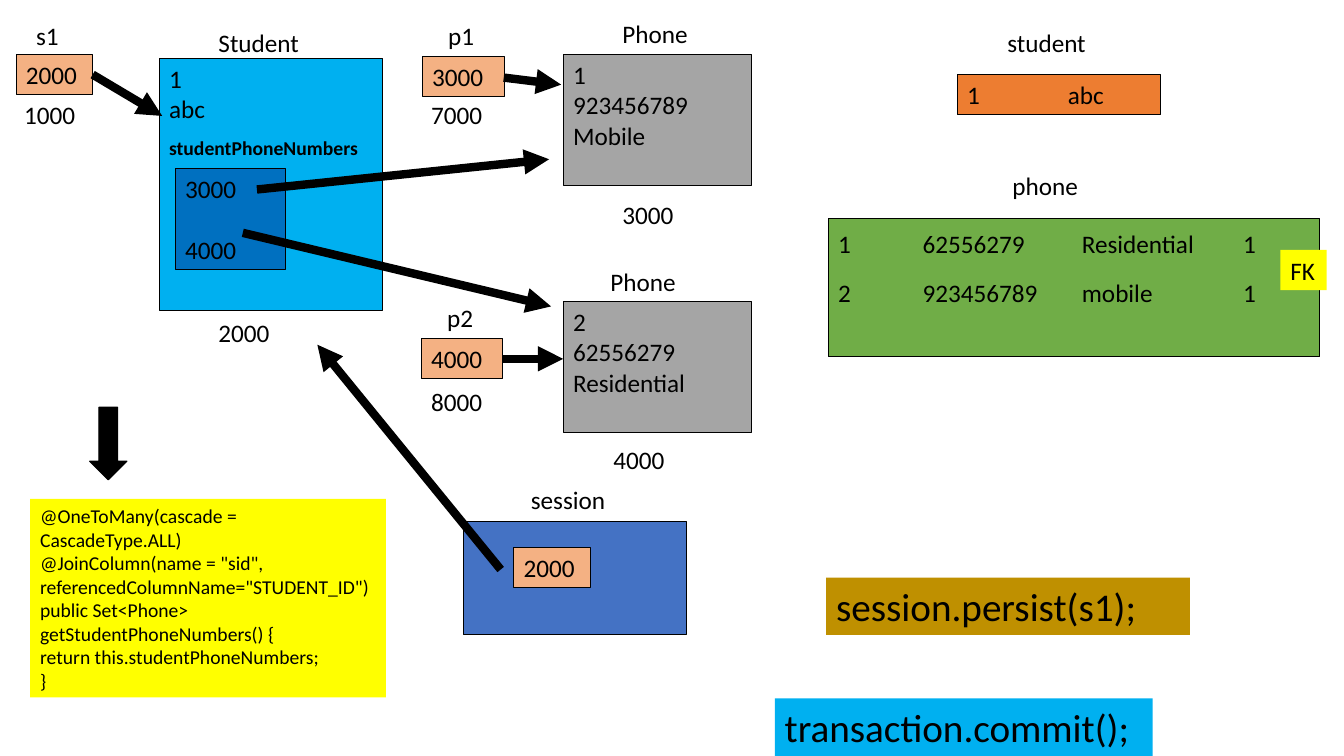
"""Build the slide that shows how a student and its phones are persisted."""
import dataclasses
import typing

import lxml.etree
import pptx
import pptx.dml.color
import pptx.enum.shapes
import pptx.enum.text
import pptx.oxml.ns
import pptx.util

Inches = pptx.util.Inches
Pt = pptx.util.Pt
SHAPE = pptx.enum.shapes.MSO_SHAPE
qn = pptx.oxml.ns.qn


@dataclasses.dataclass(frozen=True)
class Theme:
    font: str = "Calibri"
    body: int = 18
    small: int = 14
    call: int = 28
    outline: float = 0.75
    arrow: float = 6
    black: str = "000000"
    sky: str = "00B0F0"
    gray: str = "A5A5A5"
    peach: str = "F4B183"
    navy: str = "0070C0"
    green: str = "70AD47"
    orange: str = "ED7D31"
    yellow: str = "FFFF00"
    blue: str = "4472C4"
    gold: str = "BF9000"


T = Theme()


@dataclasses.dataclass(frozen=True)
class Box:
    x: float
    y: float
    w: float
    h: float
    fill: str
    text: str = ""
    outlined: bool = True
    shape: SHAPE = SHAPE.RECTANGLE
    fmt: dict[str, typing.Any] = dataclasses.field(default_factory=dict)


@dataclasses.dataclass(frozen=True)
class Label:
    x: float
    y: float
    w: float
    text: str
    h: float = 0.4
    fmt: dict[str, typing.Any] = dataclasses.field(default_factory=dict)


class Arrow(typing.NamedTuple):
    x1: float
    y1: float
    x2: float
    y2: float


CODE = """@OneToMany(cascade = CascadeType.ALL)
@JoinColumn(name = "sid", referencedColumnName="STUDENT_ID")
public Set<Phone> getStudentPhoneNumbers() {
return this.studentPhoneNumbers;
}"""
PHONE_ROWS = "1\t62556279\tResidential\t1\n2\t923456789\tmobile\t1"
PHONE_FMT = {"tabs": (0.84, 2.42, 4.02), "spacing": 1.15, "after": 10}

BOXES = (
    Box(1.58, 0.58, 2.22, 2.5, T.sky, "1\nabc"),
    Box(5.59, 2.99, 1.87, 1.3, T.gray, "2\n62556279\nResidential"),
    Box(5.59, 0.54, 1.87, 1.3, T.gray, "1\n923456789\nMobile"),
    Box(0.16, 0.54, 0.76, 0.4, T.peach, "2000"),
    Box(4.19, 0.56, 0.82, 0.4, T.peach, "3000"),
    Box(4.18, 3.36, 0.81, 0.4, T.peach, "4000"),
    Box(1.74, 1.67, 1.09, 1, T.navy, "3000\n4000", fmt={"before": 22}),
    Box(8.22, 2.17, 4.88, 1.37, T.green, PHONE_ROWS, fmt=PHONE_FMT),
    Box(9.5, 0.74, 2.02, 0.4, T.orange, "1\tabc", fmt={"tabs": (1,)}),
    Box(12.71, 2.48, 0.46, 0.4, T.yellow, "FK", False),
    Box(4.6, 5.17, 2.21, 1.13, T.blue),
    Box(5.1, 5.43, 0.76, 0.4, T.peach, "2000"),
    Box(8.2, 5.73, 3.61, 0.57, T.gold, "session.persist(s1);", False, fmt={"size": T.call}),
    Box(7.69, 6.93, 3.75, 0.57, T.sky, "transaction.commit();", False, fmt={"size": T.call}),
    Box(0.89, 4.04, 0.37, 0.72, T.black, shape=SHAPE.DOWN_ARROW),
    Box(0.3, 4.95, 3.53, 1.97, T.yellow, CODE, False, fmt={"size": T.small}),
)

LABELS = (
    Label(5.99, 4.36, 0.84, "4000"),
    Label(6.08, 1.93, 0.84, "3000"),
    Label(2.07, 3.1, 0.84, "2000"),
    Label(0.14, 0.94, 0.81, "1000"),
    Label(0.26, 0.15, 0.56, "s1"),
    Label(4.35, 0.15, 0.49, "p1"),
    Label(4.34, 2.95, 0.48, "p2"),
    Label(4.18, 0.94, 0.81, "7000"),
    Label(4.18, 3.78, 0.81, "8000"),
    Label(2.07, 0.22, 1.08, "Student"),
    Label(6.08, 0.13, 1.08, "Phone"),
    Label(5.96, 2.59, 1.08, "Phone"),
    Label(1.58, 1.3, 2.6, "studentPhoneNumbers", 0.34, {"size": T.small, "bold": True}),
    Label(9.95, 1.64, 1.02, "phone"),
    Label(9.9, 0.22, 1.12, "student"),
    Label(5.17, 4.76, 1.08, "session"),
)

ARROWS = (
    Arrow(0.92, 0.74, 1.61, 1.15),
    Arrow(5, 0.77, 5.57, 0.84),
    Arrow(4.99, 3.56, 5.59, 3.56),
    Arrow(2.55, 1.88, 5.45, 1.58),
    Arrow(2.41, 2.31, 5.47, 3.04),
    Arrow(4.97, 5.65, 3.15, 3.42),
)


def rgb(color: str) -> pptx.dml.color.RGBColor:
    return pptx.dml.color.RGBColor.from_string(color)


def write(tf, text: str, *, size: int = T.body, bold: bool = False, tabs: tuple = (),
          spacing: float = 1.0, before: float = 0, after: float = 0) -> None:
    tf.word_wrap = True
    tf.vertical_anchor = pptx.enum.text.MSO_ANCHOR.TOP
    for i, line in enumerate(text.split("\n")):
        p = tf.paragraphs[0] if i == 0 else tf.add_paragraph()
        p.alignment = pptx.enum.text.PP_ALIGN.LEFT
        p.line_spacing = spacing
        p.space_before = Pt(before if i else 0)
        p.space_after = Pt(after)
        if tabs:
            stops = lxml.etree.SubElement(p._p.get_or_add_pPr(), qn("a:tabLst"))
            for pos in tabs:
                lxml.etree.SubElement(stops, qn("a:tab"), pos=str(Inches(pos)), algn="l")
        r = p.add_run()
        r.text = line
        r.font.name = T.font
        r.font.size = Pt(size)
        r.font.bold = bold
        r.font.color.rgb = rgb(T.black)


def draw_box(s, box: Box) -> None:
    sp = s.shapes.add_shape(box.shape, *map(Inches, (box.x, box.y, box.w, box.h)))
    sp.shadow.inherit = False
    sp.fill.solid()
    sp.fill.fore_color.rgb = rgb(box.fill)
    if box.outlined:
        sp.line.color.rgb = rgb(T.black)
        sp.line.width = Pt(T.outline)
    else:
        sp.line.fill.background()
    if box.text:
        write(sp.text_frame, box.text, **box.fmt)


def draw_label(s, label: Label) -> None:
    sp = s.shapes.add_textbox(*map(Inches, (label.x, label.y, label.w, label.h)))
    write(sp.text_frame, label.text, **label.fmt)


def draw_arrow(s, arrow: Arrow) -> None:
    sp = s.shapes.add_connector(pptx.enum.shapes.MSO_CONNECTOR.STRAIGHT, *map(Inches, arrow))
    sp.line.color.rgb = rgb(T.black)
    sp.line.width = Pt(T.arrow)
    lxml.etree.SubElement(sp.line._get_or_add_ln(), qn("a:tailEnd"), type="triangle")
    lxml.etree.SubElement(sp._element.spPr, qn("a:effectLst"))


def main() -> None:
    prs = pptx.Presentation()
    prs.slide_width, prs.slide_height = Inches(13.34), Inches(7.5)
    s = prs.slides.add_slide(prs.slide_layouts[6])
    for draw, items in ((draw_box, BOXES), (draw_label, LABELS), (draw_arrow, ARROWS)):
        for item in items:
            draw(s, item)
    prs.save("out.pptx")


if __name__ == "__main__":
    main()
